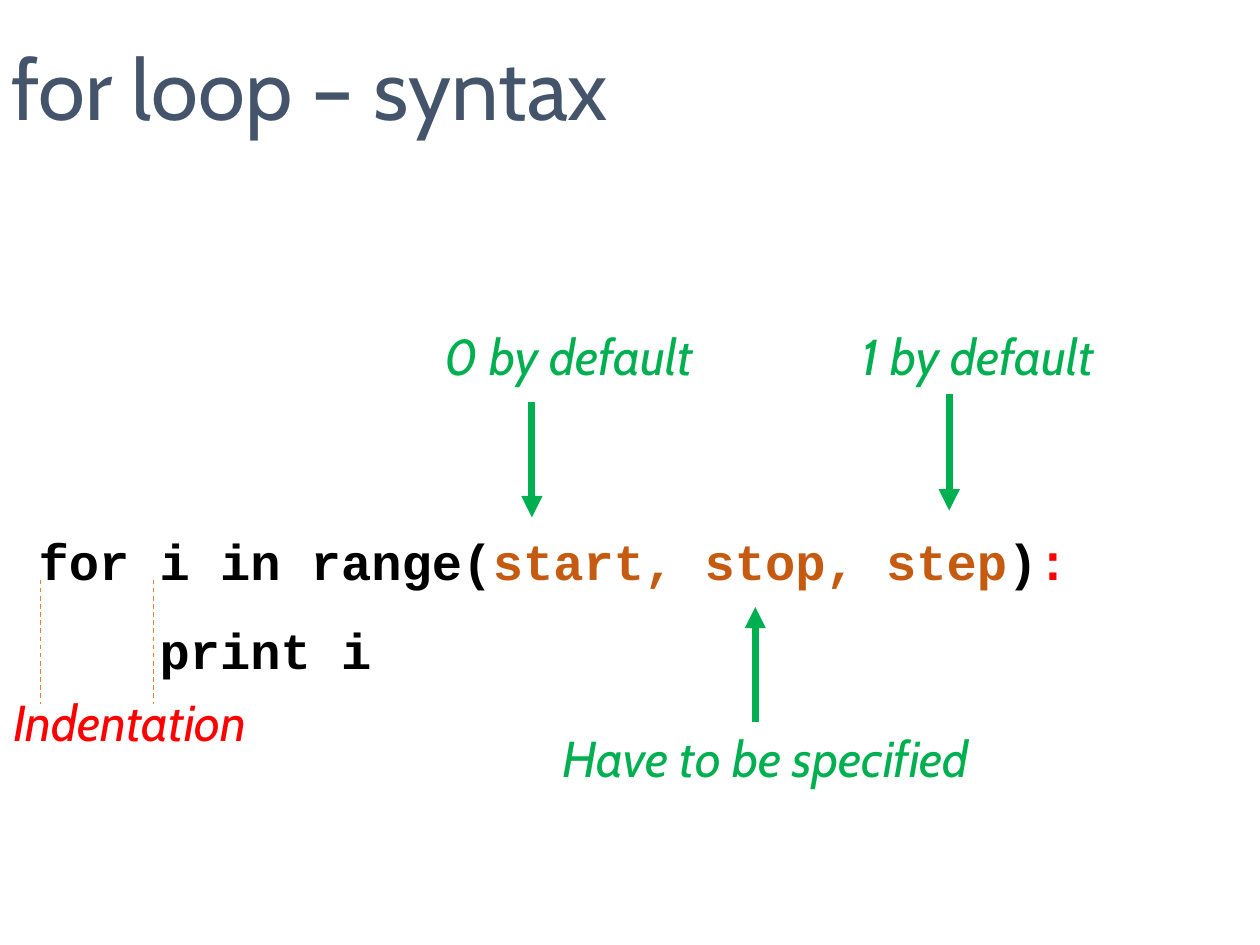
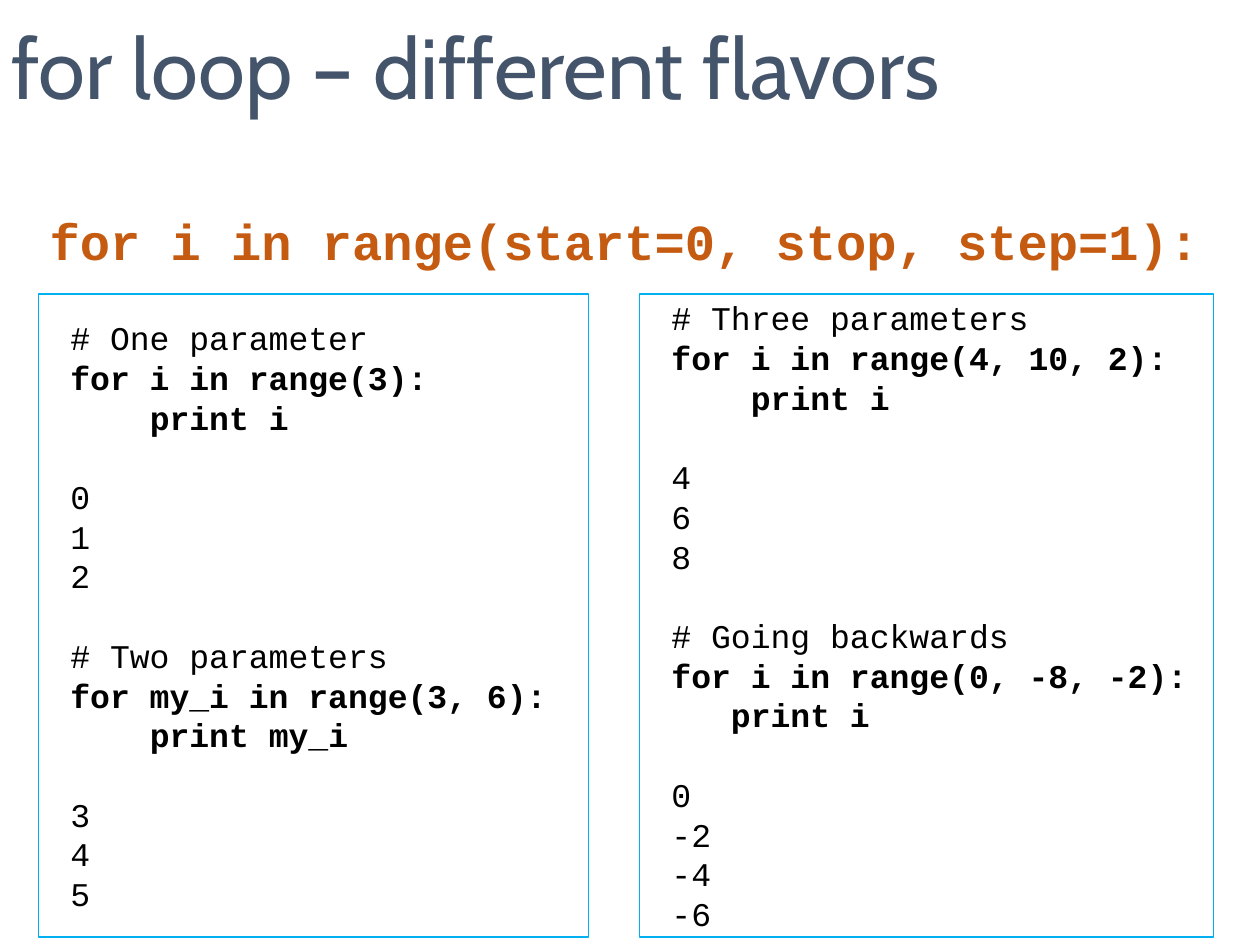
import pptx
import pptx.util
import pptx.dml.color
import pptx.enum.dml
import pptx.enum.shapes
import pptx.enum.text
import pptx.oxml.ns
from dataclasses import dataclass
from lxml import etree
from pptx.util import Inches

# Shared style
TITLE_FONT, CODE_FONT = "Cabin", "Courier New"
SLATE, BLACK, RUST, RED = "44546A", "000000", "C55A11", "FF0000"
GREEN, ORANGE, SKY = "00B050", "ED7D31", "00B0F0"
LARGE, SMALL = 32, 21
EDGE, CODE_INDENT = 0.04, 0.24
CHARACTER = 0.6 / 72  # width of one monospaced character, per point of size
LINE = 1.2            # height of one line, per point of size


@dataclass
class Area:
    left: float
    top: float
    width: float
    height: float


@dataclass
class Span:
    text: str
    color: str = BLACK
    bold: bool = False


@dataclass
class CodeLine:
    spans: list[Span]
    depth: int = 0            # indentation in characters
    gap: float = 0            # space before, in points


@dataclass
class Label:
    text: str
    area: Area
    color: str = GREEN
    font: str = TITLE_FONT
    bold: bool = False
    italic: bool = True


@dataclass
class Stroke:
    x: float
    start: float
    end: float


@dataclass
class Example:
    comment: str
    loop: str
    action: str
    results: list[str]
    depth: int = 4


# Drawing functions
def rgb(color: str) -> pptx.dml.color.RGBColor:
    return pptx.dml.color.RGBColor.from_string(color)


def place(shape, area: Area) -> None:
    shape.left, shape.top = Inches(area.left), Inches(area.top)
    shape.width, shape.height = Inches(area.width), Inches(area.height)


def style(span, font: str, size: int, color: str,
          bold: bool = False, italic: bool = False) -> None:
    span.font.name, span.font.size = font, pptx.util.Pt(size)
    span.font.color.rgb = rgb(color)
    span.font.bold, span.font.italic = bold, italic


def frame_placeholder(box, area: Area):
    place(box, area)
    frame = box.text_frame
    frame.word_wrap = True
    frame.auto_size = pptx.enum.text.MSO_AUTO_SIZE.NONE
    frame.vertical_anchor = pptx.enum.text.MSO_ANCHOR.MIDDLE
    frame.margin_left = frame.margin_right = Inches(EDGE)
    frame.margin_top = frame.margin_bottom = Inches(EDGE)
    return frame


def add_page(deck, layout: int, title: str, title_height: float):
    page = deck.slides.add_slide(deck.slide_layouts[layout])
    frame = frame_placeholder(page.shapes.title, Area(0.06, 0.06, 11.03, title_height))
    frame.text = title
    para = frame.paragraphs[0]
    para.alignment = pptx.enum.text.PP_ALIGN.LEFT
    style(para.runs[0], TITLE_FONT, 54, SLATE)
    return page


def write_code(box, area: Area, lines: list[CodeLine], size: int) -> None:
    frame = frame_placeholder(box, area)
    for number, line in enumerate(lines):
        para = frame.add_paragraph() if number else frame.paragraphs[0]
        para.space_before = pptx.util.Pt(line.gap)
        for piece in line.spans:
            span = para.add_run()
            span.text = piece.text
            style(span, CODE_FONT, size, piece.color, piece.bold)
        properties = para._p.get_or_add_pPr()
        indent = CODE_INDENT + line.depth * size * CHARACTER
        properties.set("marL", str(Inches(indent)))
        properties.set("indent", "0")
        etree.SubElement(properties, pptx.oxml.ns.qn("a:buNone"))


def add_label(page, label: Label) -> None:
    area = label.area
    box = page.shapes.add_textbox(Inches(area.left), Inches(area.top),
                                  Inches(area.width), Inches(area.height))
    frame = box.text_frame
    frame.word_wrap = True
    frame.auto_size = pptx.enum.text.MSO_AUTO_SIZE.SHAPE_TO_FIT_TEXT
    frame.text = label.text
    style(frame.paragraphs[0].runs[0], label.font, LARGE, label.color,
          label.bold, label.italic)


def add_stroke(page, stroke: Stroke, color: str, weight: float):
    line = page.shapes.add_connector(
        pptx.enum.shapes.MSO_CONNECTOR.STRAIGHT, Inches(stroke.x),
        Inches(stroke.start), Inches(stroke.x), Inches(stroke.end))
    line.line.color.rgb = rgb(color)
    line.line.width = pptx.util.Pt(weight)
    etree.SubElement(line._element.spPr, pptx.oxml.ns.qn("a:effectLst"))
    return line


def add_arrow(page, stroke: Stroke) -> None:
    arrow = add_stroke(page, stroke, GREEN, 4.5)
    etree.SubElement(arrow.line._get_or_add_ln(), pptx.oxml.ns.qn("a:tailEnd"),
                     type="triangle")


def add_guide(page, stroke: Stroke) -> None:
    guide = add_stroke(page, stroke, ORANGE, 0.75)
    guide.line.dash_style = pptx.enum.dml.MSO_LINE.DASH


def example_lines(examples: list[Example]) -> list[CodeLine]:
    blank = SMALL * LINE
    lines = []
    for example in examples:
        lines.append(CodeLine([Span(example.comment)], gap=blank if lines else 0))
        lines.append(CodeLine([Span(example.loop, bold=True)]))
        lines.append(CodeLine([Span(example.action, bold=True)], example.depth))
        for number, result in enumerate(example.results):
            lines.append(CodeLine([Span(result)], gap=0 if number else blank))
    return lines


deck = pptx.Presentation()
deck.slide_width, deck.slide_height = Inches(11.11), Inches(8.33)

# Slide 1: syntax
syntax = add_page(deck, 1, "for loop – syntax", 1.41)
write_code(syntax.placeholders[1], Area(0.06, 4.63, 11.03, 1.41), [
    CodeLine([Span("for i in range(", BLACK, True),
              Span("start, stop, step", RUST, True),
              Span(")", BLACK, True), Span(":", RED, True)]),
    CodeLine([Span("print i", BLACK, True)], depth=4, gap=18),
], LARGE)
for arrow in (Stroke(4.69, 3.54, 4.56), Stroke(6.66, 6.36, 5.35),
              Stroke(8.37, 3.47, 4.5)):
    add_arrow(syntax, arrow)
for label in (Label("0 by default", Area(3.82, 2.82, 2.44, 0.64)),
              Label("1 by default", Area(7.5, 2.82, 2.44, 0.64)),
              Label("Have to be specified", Area(4.86, 6.36, 5.12, 0.64)),
              Label("Indentation", Area(0.02, 6.04, 2.66, 0.64), RED)):
    add_label(syntax, label)
for x in (0.36, 1.35):
    add_guide(syntax, Stroke(x, 5.11, 6.21))

# Slide 2: flavors
flavors = add_page(deck, 3, "for loop – different flavors", 1.04)
panels = {
    1: (Area(0.34, 2.59, 4.85, 5.67), [
        Example("# One parameter", "for i in range(3):", "print i", ["0", "1", "2"]),
        Example("# Two parameters", "for my_i in range(3, 6):", "print my_i",
                ["3", "4", "5"])]),
    2: (Area(5.64, 2.59, 5.06, 5.67), [
        Example("# Three parameters", "for i in range(4, 10, 2):", "print i",
                ["4", "6", "8"]),
        Example("# Going backwards", "for i in range(0, -8, -2):", "print i",
                ["0", "-2", "-4", "-6"], depth=3)]),
}
for index, (area, examples) in panels.items():
    panel = flavors.placeholders[index]
    write_code(panel, area, example_lines(examples), SMALL)
    panel.line.color.rgb = rgb(SKY)
    panel.line.width = pptx.util.Pt(1)
add_label(flavors, Label("for i in range(start=0, stop, step=1):",
                         Area(0.34, 1.8, 10.36, 0.64), RUST, CODE_FONT, True, False))

deck.save("out.pptx")
